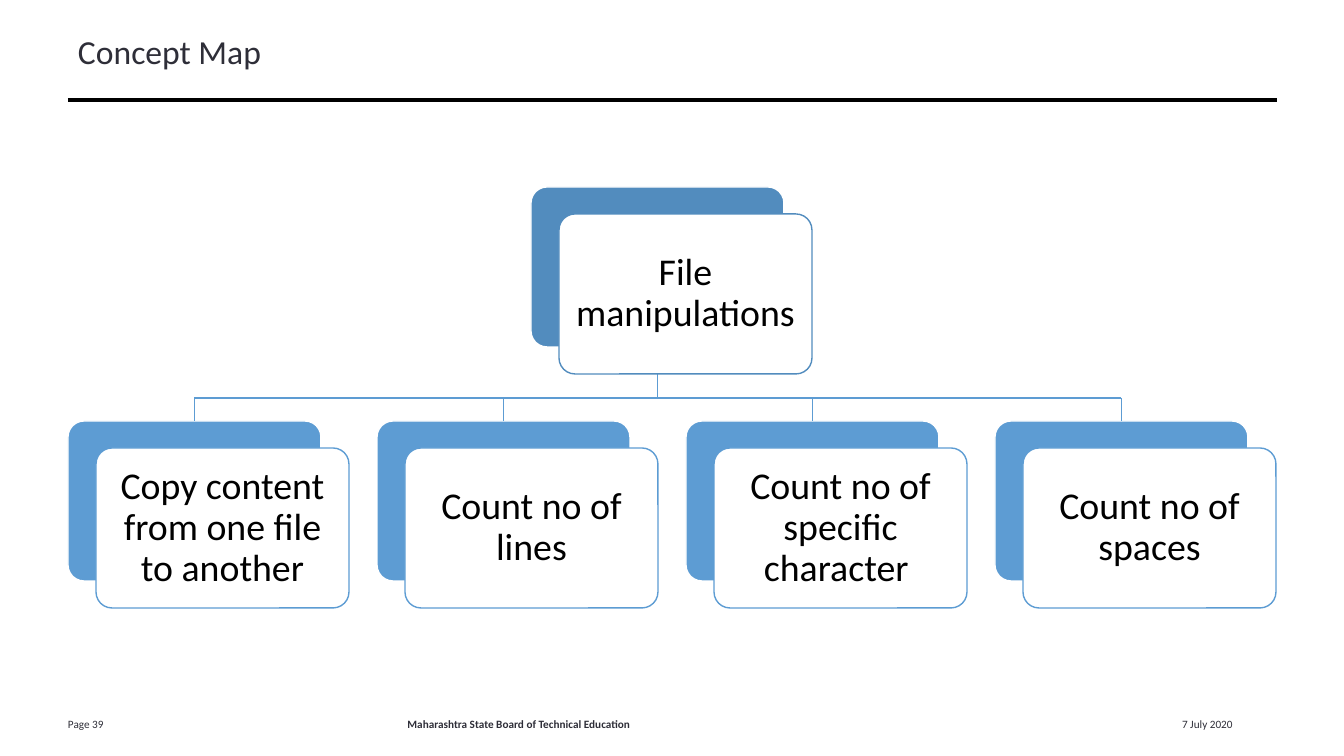
from lxml.etree import SubElement
from pptx import Presentation
from pptx.dml.color import RGBColor
from pptx.enum.shapes import MSO_CONNECTOR, MSO_SHAPE
from pptx.enum.text import MSO_ANCHOR, MSO_AUTO_SIZE, PP_ALIGN
from pptx.oxml.ns import qn
from pptx.util import Pt

PX = 914400 / 100.8

THEME = {
    "font": "Calibri",
    "ink": RGBColor(0x2E, 0x2E, 0x38),
    "black": RGBColor(0, 0, 0),
    "white": RGBColor(255, 255, 255),
    "root": RGBColor(0x52, 0x8C, 0xBE),
    "child": RGBColor(0x5D, 0x9C, 0xD3),
    "title_size": 24,
    "card_size": 27,
    "footer_size": 8,
}


def px(*lengths):
    return [round(length * PX) for length in lengths]


def write(shape, text, size, color="ink", bold=False, align=PP_ALIGN.LEFT,
          anchor=MSO_ANCHOR.MIDDLE, spacing=1.0, insets=(10, 5, 10, 5)):
    frame = shape.text_frame
    frame.word_wrap = True
    frame.auto_size = MSO_AUTO_SIZE.NONE
    frame.vertical_anchor = anchor
    (frame.margin_left, frame.margin_top,
     frame.margin_right, frame.margin_bottom) = px(*insets)
    para = frame.paragraphs[0]
    para.alignment = align
    para.line_spacing = spacing
    span = para.add_run()
    span.text = text
    span.font.name = THEME["font"]
    span.font.size = Pt(THEME[size])
    span.font.bold = bold
    span.font.color.rgb = THEME[color]


deck = Presentation()
deck.slide_width, deck.slide_height = px(1344, 756)
page = deck.slides.add_slide(deck.slide_layouts[5])

# Title
title = page.shapes.title
title.left, title.top, title.width, title.height = px(68, 32, 1209, 66)
write(title, "Concept Map", "title_size", anchor=MSO_ANCHOR.TOP, spacing=0.85)

# Footer
footers = [
    ("Page 39", 68, 74, {"insets": (0, 5, 10, 5)}),
    ("Maharashtra State Board of Technical Education", 349, 340,
     {"bold": True, "align": PP_ALIGN.CENTER}),
    ("7 July 2020", 1172, 131, {}),
]
for text, left, width, style in footers:
    box = page.shapes.add_textbox(*px(left, 714, width, 20))
    write(box, text, "footer_size", **style)

# Cards of the map: text, left, top, colour
CARD_WIDTH, CARD_HEIGHT = 253, 160
FIRST_LEFT, PITCH, CHILD_TOP = 68, 309, 421
ROOT_LEFT, ROOT_TOP, BUS_Y = 531, 187, 398
children = [
    "Copy content from one file to another",
    "Count no of lines",
    "Count no of specific character ",
    "Count no of spaces",
]
cards = [("File manipulations", ROOT_LEFT, ROOT_TOP, "root")]
for index, text in enumerate(children):
    cards.append((text, FIRST_LEFT + index * PITCH, CHILD_TOP, "child"))

# Back and front plates, with the branches between the two layers
backs = []
for layer in ("back", "front"):
    for text, left, top, color in cards:
        shift_x, shift_y = (28, 27) if layer == "front" else (0, 0)
        plate = page.shapes.add_shape(
            MSO_SHAPE.ROUNDED_RECTANGLE,
            *px(left + shift_x, top + shift_y, CARD_WIDTH, CARD_HEIGHT))
        plate.adjustments[0] = 0.1
        plate.shadow.inherit = False
        plate.fill.solid()
        plate.line.width = Pt(1)
        if layer == "back":
            plate.fill.fore_color.rgb = THEME[color]
            plate.line.color.rgb = THEME["white"]
            backs.append(plate)
        else:
            plate.fill.fore_color.rgb = THEME["white"]
            plate.line.color.rgb = THEME[color]
            write(plate, text, "card_size", color="black",
                  align=PP_ALIGN.CENTER, spacing=0.9, insets=(10, 11, 10, 11))

    if layer == "back":
        # Lines: title rule, trunk, bus, then one drop per child
        half = CARD_WIDTH / 2
        centers = [left + half for _, left, _, _ in cards]
        trunk_x, child_xs = centers[0], centers[1:]
        lines = [
            (68, 100, 1277, 100, "black", 2.25, None, None),
            (trunk_x, ROOT_TOP + CARD_HEIGHT, trunk_x, BUS_Y, "child", 1,
             backs[0], None),
            (child_xs[0], BUS_Y, child_xs[-1], BUS_Y, "child", 1, None, None),
        ]
        for x, back in zip(child_xs, backs[1:]):
            lines.append((x, BUS_Y, x, CHILD_TOP, "child", 1, None, back))
        for x1, y1, x2, y2, color, weight, start, end in lines:
            line = page.shapes.add_connector(
                MSO_CONNECTOR.STRAIGHT, *px(x1, y1, x2, y2))
            line.line.color.rgb = THEME[color]
            line.line.width = Pt(weight)
            SubElement(line._element.spPr, qn("a:effectLst"))
            if start is not None:
                line.begin_connect(start, 2)
            if end is not None:
                line.end_connect(end, 0)

deck.save("out.pptx")
